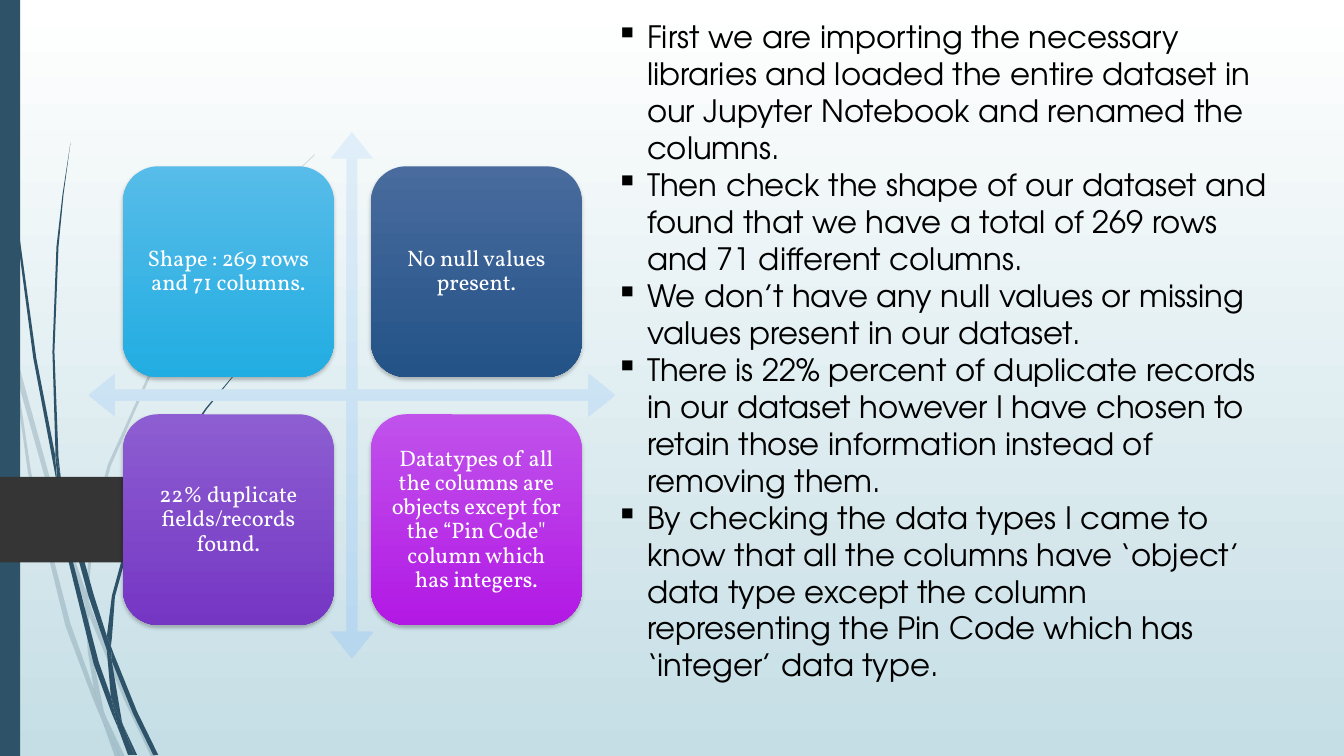
from dataclasses import dataclass

import lxml.etree
import pptx
import pptx.dml.color
import pptx.enum.shapes
import pptx.enum.text
import pptx.oxml.ns
import pptx.util
from pptx.util import Inches

RGBColor = pptx.dml.color.RGBColor
Shapes = pptx.enum.shapes.MSO_SHAPE
qn = pptx.oxml.ns.qn

NAVY = RGBColor(0x2E, 0x53, 0x69)
CHARCOAL = RGBColor(0x35, 0x35, 0x35)
WHITE = RGBColor(0xFF, 0xFF, 0xFF)
BLACK = RGBColor(0x00, 0x00, 0x00)
PALE_TEAL = RGBColor(0xC5, 0xDE, 0xE5)
ARROW_TOP = RGBColor(0xDF, 0xEE, 0xF8)
ARROW_BOTTOM = RGBColor(0xB7, 0xD7, 0xEE)

CARD_FONT = "Vollkorn"
BODY_FONT = "TeX Gyre Adventor"
CARD_LEFT, CARD_TOP, CARD_SIZE, CARD_STEP = 1.22, 1.65, 2.09, 2.46


@dataclass
class Card:
    text: str
    top_color: RGBColor
    bottom_color: RGBColor


CARDS = [
    Card("Shape : 269 rows and 71 columns.",
         RGBColor(0x57, 0xBC, 0xE9), RGBColor(0x22, 0xAD, 0xE2)),
    Card("No null values present.",
         RGBColor(0x49, 0x6B, 0x9E), RGBColor(0x23, 0x53, 0x87)),
    Card("22% duplicate fields/records found.",
         RGBColor(0x8D, 0x5E, 0xD1), RGBColor(0x75, 0x36, 0xC4)),
    Card("Datatypes of all the columns are objects except for the “Pin Code\" "
         "column which has integers.",
         RGBColor(0xC0, 0x52, 0xEB), RGBColor(0xB2, 0x19, 0xE4)),
]

FINDINGS = [
    "First we are importing the necessary libraries and loaded the entire dataset "
    "in our Jupyter Notebook and renamed the columns.",
    "Then check the shape of our dataset and found that we have a total of 269 rows "
    "and 71 different columns.",
    "We don’t have any null values or missing values present in our dataset.",
    "There is 22% percent of duplicate records in our dataset however I have chosen "
    "to retain those information instead of removing them.",
    "By checking the data types I came to know that all the columns have ‘object’ "
    "data type except the column representing the Pin Code which has ‘integer’ data type.",
]

# Outlines are "x,y" corners in inches.
PALE_WISPS = [
    "0.11,3.5 0.09,3.22 0,2.82 0,2.99 0.1,3.44",
    "0.58,5.22 0.84,5.99 0.85,5.86 0.62,5.2 0.14,3.45 0.17,3.76",
    "0.92,6.07 0.88,5.96 0.88,6.1 1.23,6.94 1.5,7.51 1.55,7.51 1.27,6.92",
    "1.19,7.51 1.24,7.51 1.05,7.11",
    "0.93,6.83 0.7,6.19 0.31,4.69 0.17,3.76 0.11,3.5 0.28,4.7 0.65,6.21 0.92,6.93 "
    "1.01,7.14 0.99,7.07",
    "0.84,5.99 0.87,6.46 0.93,6.83 0.96,6.92 1.05,7.11 1.03,7.06 0.91,6.46 0.88,6.1 "
    "0.88,6.08",
    "0.88,5.84 0.94,5.21 1.1,4.62 1.6,3.49 2.29,2.45 2.68,1.98 2.9,1.75 3.12,1.54 "
    "3.12,1.53 2.89,1.75 2.68,1.97 2.28,2.44 1.58,3.48 1.07,4.61 0.91,5.21 0.85,5.84 "
    "0.85,5.86 0.88,5.96",
    "1.01,7.14 1.14,7.51 1.19,7.51",
    "0.88,6.08 0.88,6.1 0.88,5.96 0.85,5.86 0.84,5.99",
    "0.96,6.92 0.93,6.83 0.99,7.07 1.01,7.14 1.19,7.51 1.05,7.11",
]
DARK_WISPS = [
    "0.07,1.1 0.17,2.33 0.33,3.55 0.56,4.77 0.57,4.81 0.55,4.57 0.55,4.53 0.36,3.55 "
    "0.19,2.32 0.08,1.09 0.05,0.48 0.04,0 0.03,0 0.04,0.48",
    "0.88,5.92 1.06,6.45 1.06,6.33 1.06,6.31 0.93,5.9 0.6,4.72 0.64,5.05",
    "1.13,6.49 1.1,6.41 1.11,6.56 1.32,7.08 1.52,7.49 1.57,7.49 1.36,7.06",
    "1.1,6.91 0.98,6.57 0.72,5.56 0.64,5.05 0.57,4.77 0.68,5.57 0.93,6.59 1.11,7.08 "
    "1.17,7.22 1.16,7.17",
    "0.6,4.72 0.58,4.53 0.54,3.49 0.58,2.45 0.63,1.93 0.7,1.41 0.62,1.93 0.56,2.45 "
    "0.52,3.49 0.55,4.49",
    "1.33,7.49 1.36,7.49 1.22,7.19",
    "0.57,4.77 0.64,5.05 0.6,4.72 0.55,4.49 0.55,4.53",
    "1.11,6.33 1.14,5.92 1.25,5.52 1.58,4.76 2.05,4.06 2.31,3.74 2.45,3.59 2.61,3.44 "
    "2.6,3.44 2.45,3.58 2.31,3.73 2.04,4.05 1.56,4.74 1.22,5.51 1.11,5.91 1.06,6.31 1.1,6.41",
    "1.17,7.22 1.27,7.49 1.31,7.49",
    "1.06,6.45 1.1,6.91 1.16,7.06 1.22,7.19 1.21,7.16 1.11,6.56 1.09,6.51",
    "1.06,6.45 1.09,6.51 1.11,6.56 1.1,6.41 1.06,6.31 1.06,6.33",
    "1.16,7.06 1.1,6.91 1.16,7.17 1.17,7.22 1.3,7.49 1.33,7.49 1.22,7.19",
]
PAGE_TAB = "0,4.73 1.47,4.73 1.51,4.74 1.9,5.13 1.91,5.15 1.9,5.17 1.51,5.56 1.47,5.58 0,5.58"


def set_vertical_gradient(fill, top: RGBColor, bottom: RGBColor) -> None:
    fill.gradient()
    fill.gradient_angle = 270
    for stop, color in zip(fill.gradient_stops, (top, bottom)):
        stop.color.rgb = color


def set_alpha(color_element, percent: int) -> None:
    lxml.etree.SubElement(color_element, qn("a:alpha"), val=str(percent * 1000))


def add_outline(slide, corners: str, color: RGBColor, opacity: int = 100) -> None:
    points = [tuple(Inches(float(n)) for n in corner.split(",")) for corner in corners.split()]
    builder = slide.shapes.build_freeform(*points[0])
    builder.add_line_segments(points[1:], close=True)
    shape = builder.convert_to_shape()
    shape.shadow.inherit = False
    shape.fill.solid()
    shape.fill.fore_color.rgb = color
    shape.line.fill.background()
    if opacity < 100:
        set_alpha(shape._element.spPr.find(f".//{qn('a:srgbClr')}"), opacity)


def add_preset(slide, preset, left: float, top: float, width: float, height: float):
    """Add a preset shape without line or shadow."""
    shape = slide.shapes.add_shape(
        preset, Inches(left), Inches(top), Inches(width), Inches(height))
    shape.shadow.inherit = False
    shape.line.fill.background()
    return shape


def add_soft_shadow(shape) -> None:
    effects = shape._element.spPr.find(qn("a:effectLst"))
    shadow = lxml.etree.SubElement(
        effects, qn("a:outerShdw"), blurRad=str(pptx.util.Pt(3)), dist=str(pptx.util.Pt(2)),
        dir="5400000", algn="ctr", rotWithShape="0")
    set_alpha(lxml.etree.SubElement(shadow, qn("a:srgbClr"), val=str(BLACK)), 25)


def add_card(slide, card: Card, left: float, top: float) -> None:
    shape = add_preset(slide, Shapes.ROUNDED_RECTANGLE, left, top, CARD_SIZE, CARD_SIZE)
    set_vertical_gradient(shape.fill, card.top_color, card.bottom_color)
    add_soft_shadow(shape)
    frame = shape.text_frame
    frame.text = card.text
    frame.word_wrap = True
    frame.vertical_anchor = pptx.enum.text.MSO_ANCHOR.MIDDLE
    frame.margin_left = frame.margin_right = Inches(0.07)
    frame.margin_top = frame.margin_bottom = Inches(0.07)
    paragraph = frame.paragraphs[0]
    paragraph.alignment = pptx.enum.text.PP_ALIGN.CENTER
    paragraph.line_spacing = 0.9
    format_runs(paragraph, CARD_FONT, 16, WHITE)


def format_runs(paragraph, font_name: str, size: int, color: RGBColor) -> None:
    for run in paragraph.runs:
        run.font.name = font_name
        run.font.size = pptx.util.Pt(size)
        run.font.color.rgb = color


def add_findings(slide) -> None:
    box = slide.shapes.add_textbox(Inches(6.01), Inches(0.13), Inches(6.67), Inches(6.77))
    frame = box.text_frame
    frame.word_wrap = True
    frame.auto_size = pptx.enum.text.MSO_AUTO_SIZE.SHAPE_TO_FIT_TEXT
    frame.text = "\n".join(FINDINGS)
    for paragraph in frame.paragraphs:
        properties = paragraph._p.get_or_add_pPr()
        properties.set("marL", str(Inches(0.31)))
        properties.set("indent", str(-Inches(0.31)))
        lxml.etree.SubElement(properties, qn("a:buChar"), char="▪")
        format_runs(paragraph, BODY_FONT, 22, BLACK)


def main() -> None:
    presentation = pptx.Presentation()
    presentation.slide_width = Inches(13.33)
    presentation.slide_height = Inches(7.5)
    slide = presentation.slides.add_slide(presentation.slide_layouts[6])
    set_vertical_gradient(slide.background.fill, WHITE, PALE_TEAL)

    for wisp in PALE_WISPS:
        add_outline(slide, wisp, NAVY, opacity=20)
    for wisp in DARK_WISPS:
        add_outline(slide, wisp, NAVY)
    side_bar = add_preset(slide, Shapes.RECTANGLE, 0, 0, 0.2, 7.5)
    side_bar.fill.solid()
    side_bar.fill.fore_color.rgb = NAVY
    add_outline(slide, PAGE_TAB, CHARCOAL)

    cross = add_preset(slide, Shapes.QUAD_ARROW, 0.88, 1.31, 5.22, 5.22)
    set_vertical_gradient(cross.fill, ARROW_TOP, ARROW_BOTTOM)
    for index, value in enumerate((0.02, 0.04, 0.05)):
        cross.adjustments[index] = value
    for index, card in enumerate(CARDS):
        row, column = divmod(index, 2)
        add_card(slide, card, CARD_LEFT + column * CARD_STEP, CARD_TOP + row * CARD_STEP)
    add_findings(slide)
    presentation.save("out.pptx")


if __name__ == "__main__":
    main()
